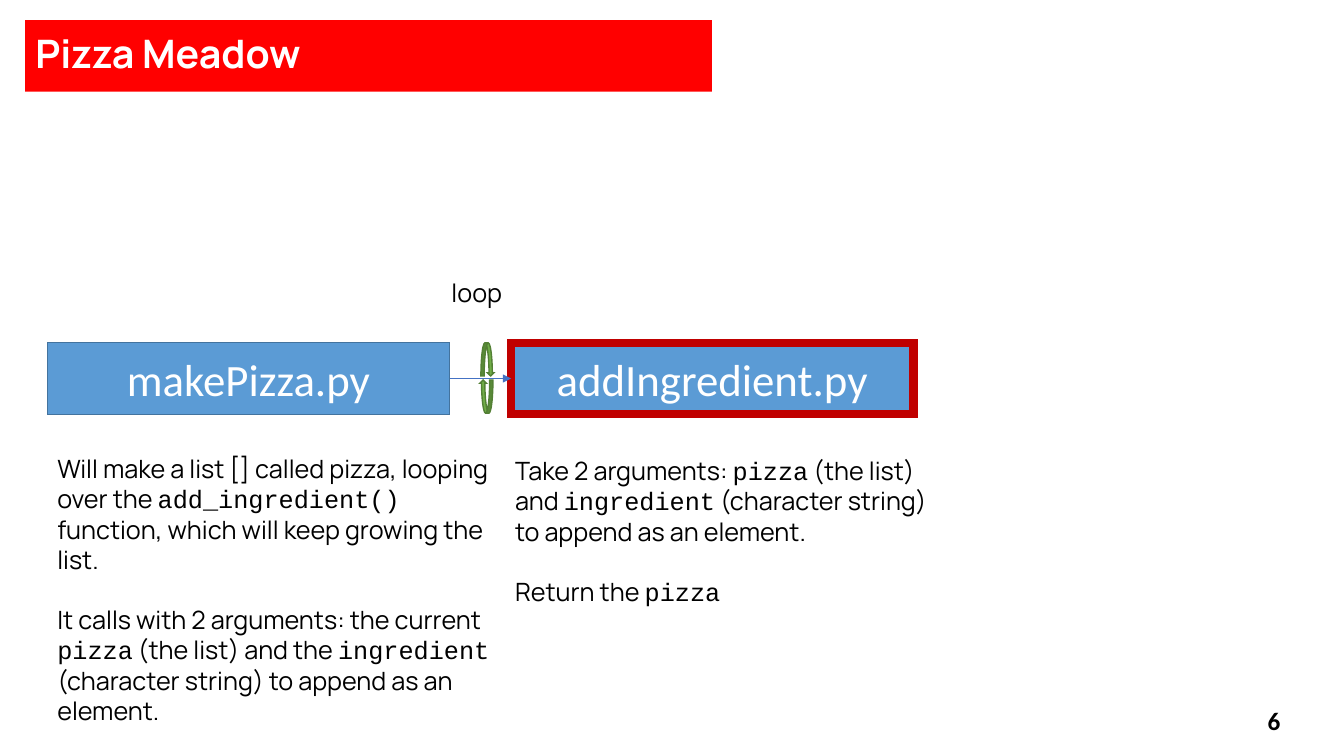
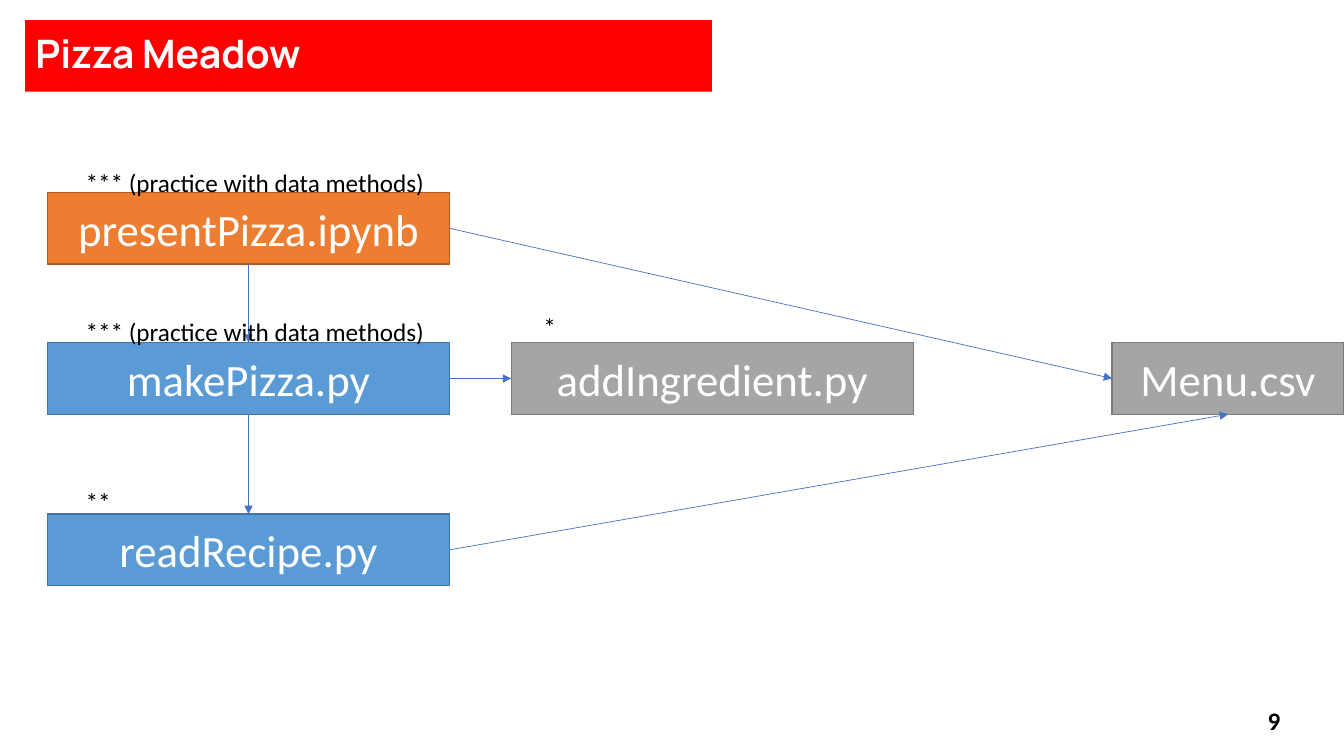
from dataclasses import dataclass

from pptx import Presentation
from pptx.dml.color import RGBColor
from pptx.enum.shapes import MSO_CONNECTOR, MSO_SHAPE
from pptx.enum.text import MSO_ANCHOR, MSO_AUTO_SIZE, PP_ALIGN
from pptx.oxml.ns import qn
from pptx.oxml.xmlchemy import OxmlElement
from pptx.presentation import Presentation as PresentationType
from pptx.shapes.autoshape import Shape
from pptx.slide import Slide
from pptx.util import Inches, Pt

BLACK = RGBColor(0x00, 0x00, 0x00)
WHITE = RGBColor(0xFF, 0xFF, 0xFF)
RED = RGBColor(0xFF, 0x00, 0x00)
DARK_RED = RGBColor(0xC0, 0x00, 0x00)
ARROW_BLUE = RGBColor(0x44, 0x72, 0xC4)
GREEN = RGBColor(0x70, 0xAD, 0x47)
DARK_GREEN = RGBColor(0x53, 0x80, 0x35)

HEADING_FONT = "Manrope"
BODY_FONT = "Calibri"
CODE_FONT = "Courier New"

SLIDE_WIDTH, SLIDE_HEIGHT = 13.33, 7.5
TITLE_ONLY_LAYOUT = 5

# Grid of the file boxes, in inches
COLUMNS = (0.47, 5.07)
ROWS = (1.91, 3.4, 5.1)
BOX_WIDTH, BOX_HEIGHT = 3.99, 0.71
MENU_WIDTH = 2.3
LABEL_HEIGHT = 0.4

# Connection sites of a rectangle
TOP, LEFT, BOTTOM, RIGHT = range(4)


@dataclass(frozen=True)
class BoxStyle:
    fill: RGBColor
    line: RGBColor
    line_width: float = 1


ORANGE_BOX = BoxStyle(RGBColor(0xED, 0x7D, 0x31), RGBColor(0xAF, 0x5C, 0x24))
BLUE_BOX = BoxStyle(RGBColor(0x5B, 0x9B, 0xD5), RGBColor(0x43, 0x73, 0x9E))
GRAY_BOX = BoxStyle(RGBColor(0xA5, 0xA5, 0xA5), RGBColor(0x7A, 0x7A, 0x7A))
CURRENT_BOX = BoxStyle(BLUE_BOX.fill, DARK_RED, 6)
LOOP_ARROW = BoxStyle(GREEN, DARK_GREEN)


@dataclass(frozen=True)
class FileBox:
    name: str
    left: float
    top: float
    style: BoxStyle
    width: float = BOX_WIDTH


@dataclass(frozen=True)
class Link:
    source: str
    source_site: int
    target: str
    target_site: int


@dataclass(frozen=True)
class Label:
    text: str
    left: float
    top: float
    width: float
    font: str = BODY_FONT


@dataclass(frozen=True)
class Explanation:
    """Paragraphs in which code stands between backticks."""

    paragraphs: tuple[str, ...]
    left: float
    top: float
    height: float


MAKE_PIZZA = FileBox("makePizza.py", COLUMNS[0], ROWS[1], BLUE_BOX)
CALL_LINK = Link("makePizza.py", RIGHT, "addIngredient.py", LEFT)

CALL_BOXES = (
    MAKE_PIZZA,
    FileBox("addIngredient.py", COLUMNS[1], ROWS[1], CURRENT_BOX),
)
EXPLANATIONS = (
    Explanation(
        (
            "Will make a list [] called pizza, looping over the `add_ingredient()` "
            "function, which will keep growing the list.",
            "It calls with 2 arguments: the current `pizza` (the list) and the "
            "`ingredient` (character string) to append as an element.",
        ),
        0.47, 4.45, 2.83,
    ),
    Explanation(
        (
            "Take 2 arguments: `pizza` (the list) and `ingredient` "
            "(character string) to append as an element.",
            "Return the `pizza`",
        ),
        5.01, 4.47, 1.62,
    ),
)

OVERVIEW_BOXES = (
    FileBox("presentPizza.ipynb", COLUMNS[0], ROWS[0], ORANGE_BOX),
    FileBox("Menu.csv", SLIDE_WIDTH - MENU_WIDTH, ROWS[1], GRAY_BOX, MENU_WIDTH),
    MAKE_PIZZA,
    FileBox("readRecipe.py", COLUMNS[0], ROWS[2], BLUE_BOX),
    FileBox("addIngredient.py", COLUMNS[1], ROWS[1], GRAY_BOX),
)
OVERVIEW_LINKS = (
    Link("presentPizza.ipynb", RIGHT, "Menu.csv", LEFT),
    Link("presentPizza.ipynb", BOTTOM, "makePizza.py", TOP),
    CALL_LINK,
    Link("makePizza.py", BOTTOM, "readRecipe.py", TOP),
    Link("readRecipe.py", RIGHT, "Menu.csv", BOTTOM),
)
DIFFICULTY_LABELS = (
    Label("*** (practice with data methods)", 0.75, 3.09, 3.6),
    Label("*", 5.29, 3.04, 0.33),
    Label("**", 0.75, 4.78, 0.45),
    Label("*** (practice with data methods)", 0.75, 1.61, 3.73),
)


def format_runs(
    shape: Shape, font: str, size: float, color: RGBColor, bold: bool = False
) -> None:
    for paragraph in shape.text_frame.paragraphs:
        for run in paragraph.runs:
            run.font.name = font
            run.font.size = Pt(size)
            run.font.color.rgb = color
            run.font.bold = bold


def apply_style(shape: Shape, style: BoxStyle) -> None:
    shape.shadow.inherit = False
    shape.fill.solid()
    shape.fill.fore_color.rgb = style.fill
    shape.line.color.rgb = style.line
    shape.line.width = Pt(style.line_width)
    corner = OxmlElement("a:miter")
    corner.set("lim", "800000")
    shape.element.spPr.find(qn("a:ln")).append(corner)


def add_text_box(
    slide: Slide, left: float, top: float, width: float, height: float, wrap: bool
) -> Shape:
    shape = slide.shapes.add_textbox(*map(Inches, (left, top, width, height)))
    shape.text_frame.word_wrap = wrap
    return shape


def add_label(slide: Slide, label: Label) -> None:
    shape = add_text_box(slide, label.left, label.top, label.width, LABEL_HEIGHT, False)
    shape.text_frame.auto_size = MSO_AUTO_SIZE.SHAPE_TO_FIT_TEXT
    shape.text_frame.text = label.text
    format_runs(shape, label.font, 18, BLACK)


def add_explanation(slide: Slide, explanation: Explanation) -> None:
    shape = add_text_box(
        slide, explanation.left, explanation.top, 4.54, explanation.height, True
    )
    text_frame = shape.text_frame
    for index, text in enumerate(explanation.paragraphs):
        paragraph = text_frame.add_paragraph() if index else text_frame.paragraphs[0]
        if index:
            paragraph.space_before = Pt(21.5)
        for part_index, part in enumerate(text.split("`")):
            if part:
                run = paragraph.add_run()
                run.text = part
                run.font.name = CODE_FONT if part_index % 2 else HEADING_FONT
                run.font.size = Pt(18)
                run.font.color.rgb = BLACK


def add_file_box(slide: Slide, box: FileBox) -> Shape:
    shape = slide.shapes.add_shape(
        MSO_SHAPE.RECTANGLE, *map(Inches, (box.left, box.top, box.width, BOX_HEIGHT))
    )
    apply_style(shape, box.style)
    shape.text_frame.text = box.name
    shape.text_frame.vertical_anchor = MSO_ANCHOR.MIDDLE
    shape.text_frame.paragraphs[0].alignment = PP_ALIGN.CENTER
    format_runs(shape, BODY_FONT, 32, WHITE)
    return shape


def add_link(slide: Slide, link: Link, shapes: dict[str, Shape]) -> None:
    connector = slide.shapes.add_connector(MSO_CONNECTOR.STRAIGHT, 0, 0, 0, 0)
    connector.begin_connect(shapes[link.source], link.source_site)
    connector.end_connect(shapes[link.target], link.target_site)
    connector.line.color.rgb = ARROW_BLUE
    connector.line.width = Pt(0.5)
    properties = connector.element.spPr
    arrowhead = OxmlElement("a:tailEnd")
    arrowhead.set("type", "triangle")
    properties.find(qn("a:ln")).append(arrowhead)
    properties.append(OxmlElement("a:effectLst"))


def add_diagram(
    slide: Slide, boxes: tuple[FileBox, ...], links: tuple[Link, ...]
) -> None:
    shapes = {box.name: add_file_box(slide, box) for box in boxes}
    for link in links:
        add_link(slide, link, shapes)


def add_loop_arrows(slide: Slide) -> None:
    group = slide.shapes.add_group_shape()
    for left, top, rotation in ((4.76, 3.77, 0), (4.77, 3.4, 180)):
        arrow = group.shapes.add_shape(
            MSO_SHAPE.CURVED_UP_ARROW, *map(Inches, (left, top, 0.13, 0.33))
        )
        apply_style(arrow, LOOP_ARROW)
        arrow.rotation = rotation
        arrow.element.spPr.find(qn("a:xfrm")).set("flipH", "1")


def add_titled_slide(presentation: PresentationType, number: int) -> Slide:
    slide = presentation.slides.add_slide(
        presentation.slide_layouts[TITLE_ONLY_LAYOUT]
    )
    title = slide.shapes.title
    title.left, title.top, title.width, title.height = map(
        Inches, (0.25, 0.2, 6.81, 0.71)
    )
    title.fill.solid()
    title.fill.fore_color.rgb = RED
    title.text_frame.text = "Pizza Meadow"
    title.text_frame.vertical_anchor = MSO_ANCHOR.MIDDLE
    title.text_frame.auto_size = MSO_AUTO_SIZE.NONE
    title.text_frame.paragraphs[0].alignment = PP_ALIGN.LEFT
    title.text_frame.paragraphs[0].line_spacing = 0.9
    format_runs(title, HEADING_FONT, 28, WHITE, bold=True)

    page_number = add_text_box(slide, 12.22, 6.95, 0.83, LABEL_HEIGHT, True)
    page_number.text_frame.text = str(number)
    page_number.text_frame.vertical_anchor = MSO_ANCHOR.MIDDLE
    page_number.text_frame.paragraphs[0].alignment = PP_ALIGN.CENTER
    format_runs(page_number, BODY_FONT, 18, BLACK, bold=True)
    return slide


def add_call_slide(presentation: PresentationType) -> None:
    slide = add_titled_slide(presentation, 6)
    add_diagram(slide, CALL_BOXES, (CALL_LINK,))
    add_label(slide, Label("loop", 4.38, 2.7, 0.76, HEADING_FONT))
    add_loop_arrows(slide)
    for explanation in EXPLANATIONS:
        add_explanation(slide, explanation)


def add_overview_slide(presentation: PresentationType) -> None:
    slide = add_titled_slide(presentation, 9)
    add_diagram(slide, OVERVIEW_BOXES, OVERVIEW_LINKS)
    for label in DIFFICULTY_LABELS:
        add_label(slide, label)


def main() -> None:
    presentation = Presentation()
    presentation.slide_width = Inches(SLIDE_WIDTH)
    presentation.slide_height = Inches(SLIDE_HEIGHT)
    add_call_slide(presentation)
    add_overview_slide(presentation)
    presentation.save("out.pptx")


if __name__ == "__main__":
    main()
